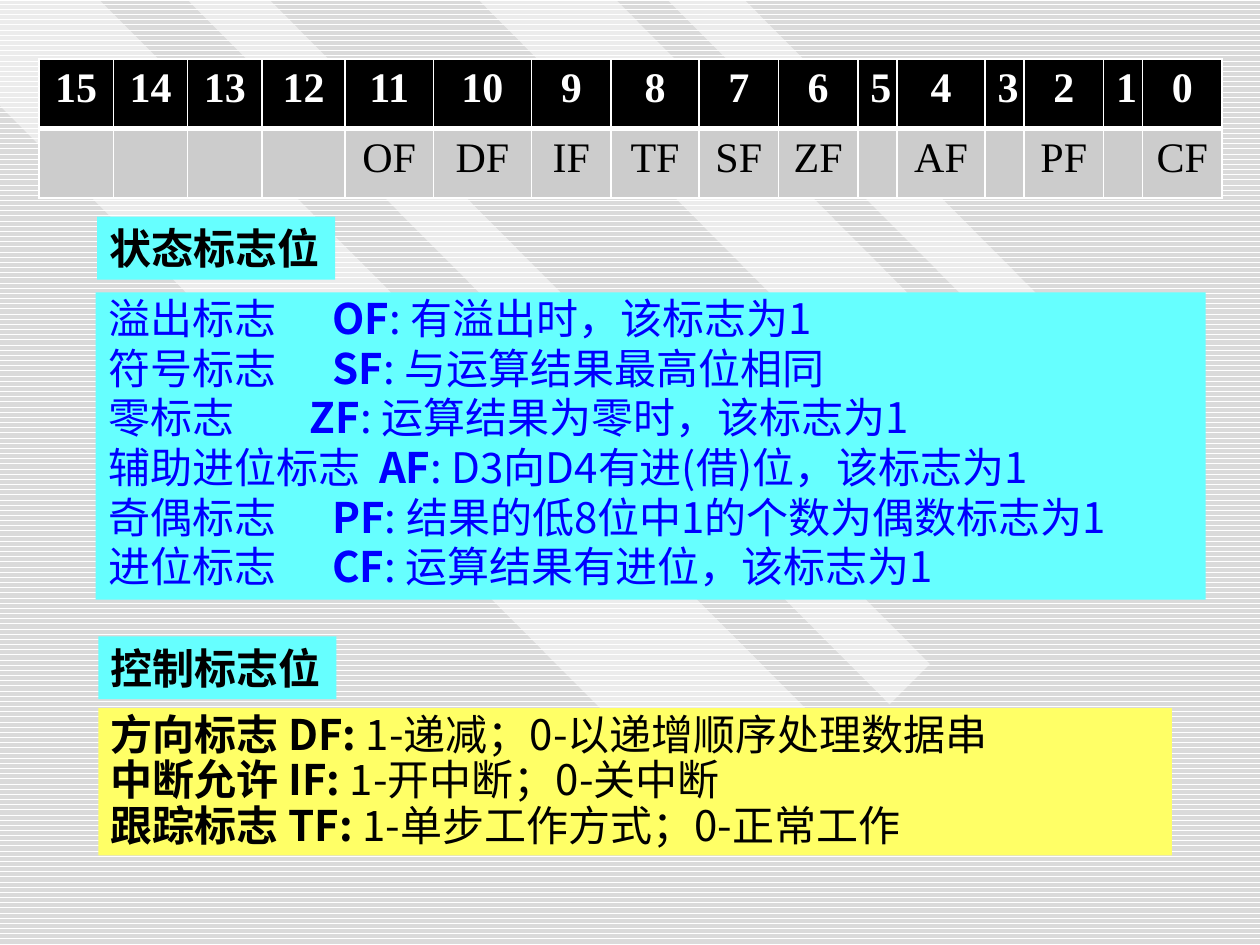
from dataclasses import dataclass

from lxml.etree import SubElement
from pptx import Presentation
from pptx.dml.color import RGBColor
from pptx.enum.dml import MSO_PATTERN
from pptx.enum.shapes import MSO_SHAPE
from pptx.enum.text import MSO_ANCHOR, PP_ALIGN
from pptx.oxml import parse_xml
from pptx.oxml.ns import nsdecls, qn
from pptx.util import Inches, Pt


@dataclass(frozen=True)
class Theme:
    white: str = "FFFFFF"
    black: str = "000000"
    stripe: str = "DADADA"
    cell: str = "CCCCCC"
    cyan: str = "66FFFF"
    yellow: str = "FFFF66"
    blue: str = "0000FF"
    body_font: str = "Noto Sans CJK SC"
    heading_font: str = "Arial"
    table_font: str = "Times New Roman"
    size: int = 24
    line_spacing: float = 0.9


class FlagSlide:
    def __init__(self, slide, theme):
        self.slide = slide
        self.theme = theme

    def background(self):
        fill = self.slide.background.fill
        fill.patterned()
        fill.pattern = MSO_PATTERN.DARK_HORIZONTAL
        fill.fore_color.rgb = RGBColor.from_string(self.theme.stripe)
        fill.back_color.rgb = RGBColor.from_string(self.theme.white)

    def fill(self, target, color):
        target.fill.solid()
        target.fill.fore_color.rgb = RGBColor.from_string(color)

    def style(self, run, font, color, bold):
        run.font.size = Pt(self.theme.size)
        run.font.bold = bold
        run.font.color.rgb = RGBColor.from_string(color)
        run.font.name = font
        east_asian = SubElement(run.font._element, qn("a:ea"))
        east_asian.set("typeface", self.theme.body_font)

    def beam(self, points):
        start, *rest = [(Inches(x), Inches(y)) for x, y in points]
        builder = self.slide.shapes.build_freeform(*start)
        builder.add_line_segments(rest, close=True)
        beam = builder.convert_to_shape()
        beam.shadow.inherit = False
        self.fill(beam, self.theme.white)
        beam.line.fill.background()
        color = beam._element.spPr.find(".//" + qn("a:srgbClr"))
        SubElement(color, qn("a:alpha")).set("val", "50000")

    def border(self, cell, bottom):
        widths = {"lnL": 1, "lnR": 1, "lnT": 1, "lnB": bottom}
        for position, (side, points) in enumerate(widths.items()):
            edge = parse_xml(
                f'<a:{side} {nsdecls("a")} w="{Pt(points)}"><a:solidFill>'
                f'<a:srgbClr val="{self.theme.white}"/></a:solidFill></a:{side}>'
            )
            cell._tc.get_or_add_tcPr().insert(position, edge)

    def register(self, left, top, widths, row_height, flags):
        theme = self.theme
        bits = [str(bit) for bit in reversed(range(len(widths)))]
        rows = [
            (bits, theme.black, theme.white, True, 3),
            ([flags.get(bit, "") for bit in bits], theme.cell, theme.black, False, 1),
        ]
        table = self.slide.shapes.add_table(
            len(rows), len(bits), Inches(left), Inches(top),
            Inches(sum(widths)), Inches(row_height * len(rows)),
        ).table
        for column, width in zip(table.columns, widths):
            column.width = Inches(width)
        for row, (labels, back, color, bold, bottom) in enumerate(rows):
            for column, label in enumerate(labels):
                cell = table.cell(row, column)
                self.fill(cell, back)
                self.border(cell, bottom)
                paragraph = cell.text_frame.paragraphs[0]
                paragraph.text = label
                paragraph.alignment = PP_ALIGN.CENTER
                for run in paragraph.runs:
                    self.style(run, theme.table_font, color, bold)

    def panel(self, left, top, width, height, color, anchor=MSO_ANCHOR.TOP):
        panel = self.slide.shapes.add_shape(
            MSO_SHAPE.RECTANGLE, Inches(left), Inches(top), Inches(width), Inches(height)
        )
        panel.shadow.inherit = False
        self.fill(panel, color)
        panel.line.fill.background()
        panel.text_frame.vertical_anchor = anchor
        return panel.text_frame

    def heading(self, left, top, title):
        frame = self.panel(left, top, 1.89, 0.5, self.theme.cyan, MSO_ANCHOR.MIDDLE)
        frame.word_wrap = False
        frame.text = title
        paragraph = frame.paragraphs[0]
        paragraph.alignment = PP_ALIGN.LEFT
        self.style(paragraph.runs[0], self.theme.heading_font, self.theme.black, True)

    def definitions(self, box, back, color, lines, space_before=0):
        frame = self.panel(*box, back)
        frame.word_wrap = True
        for index, (parts, tab) in enumerate(lines):
            paragraph = frame.add_paragraph() if index else frame.paragraphs[0]
            paragraph.alignment = PP_ALIGN.LEFT
            paragraph.line_spacing = self.theme.line_spacing
            paragraph.space_before = Pt(space_before)
            if tab:
                stops = SubElement(paragraph._p.get_or_add_pPr(), qn("a:tabLst"))
                stop = SubElement(stops, qn("a:tab"))
                stop.set("pos", str(Inches(tab)))
                stop.set("algn", "l")
            for text, bold in parts:
                run = paragraph.add_run()
                run.text = text
                self.style(run, self.theme.body_font, color, bold)


BEAMS = [
    [(6.7, 5.93), (0.79, 0), (0, 0), (0, 0.84), (5.89, 6.75)],
    [(2.14, 0), (7.38, 5.27), (7.06, 5.59), (1.49, 0)],
    [(4.89, 0), (8.76, 3.89), (8.21, 4.44), (3.8, 0)],
    [(5.3, 0), (8.97, 3.68), (9.27, 3.38), (5.91, 0)],
]
BIT_WIDTHS = [0.59, 0.59, 0.59, 0.66, 0.7, 0.78, 0.63, 0.7,
              0.63, 0.63, 0.31, 0.7, 0.31, 0.63, 0.31, 0.63]
FLAGS = {"11": "OF", "10": "DF", "9": "IF", "8": "TF", "7": "SF",
         "6": "ZF", "4": "AF", "2": "PF", "0": "CF"}
STATUS_FLAGS = [
    ("溢出标志", "OF", "有溢出时，该标志为1", 1.78),
    ("符号标志", "SF", "与运算结果最高位相同", 1.78),
    ("零标志", "ZF", "运算结果为零时，该标志为1", 1.6),
    ("辅助进位标志", "AF", "D3向D4有进(借)位，该标志为1", 2.15),
    ("奇偶标志", "PF", "结果的低8位中1的个数为偶数标志为1", 1.78),
    ("进位标志", "CF", "运算结果有进位，该标志为1", 1.78),
]
CONTROL_FLAGS = [
    ("方向标志 DF: ", "1-递减；0-以递增顺序处理数据串"),
    ("中断允许 IF: ", "1-开中断；0-关中断"),
    ("跟踪标志 TF: ", "1-单步工作方式；0-正常工作"),
]


def main():
    deck = Presentation()
    deck.slide_width, deck.slide_height = Inches(10), Inches(7.5)
    theme = Theme()
    page = FlagSlide(deck.slides.add_slide(deck.slide_layouts[6]), theme)
    page.background()
    for points in BEAMS:
        page.beam(points)
    page.register(0.31, 0.47, BIT_WIDTHS, 0.55, FLAGS)

    status = [([(name + "\t", False), (flag, True), (": " + meaning, False)], tab)
              for name, flag, meaning, tab in STATUS_FLAGS]
    page.definitions((0.76, 2.32, 8.81, 2.44), theme.cyan, theme.blue, status, 2.4)
    page.heading(0.77, 1.72, "状态标志位")

    control = [([(name, True), (meaning, False)], None) for name, meaning in CONTROL_FLAGS]
    page.definitions((0.78, 5.62, 8.52, 1.17), theme.yellow, theme.black, control)
    page.heading(0.78, 5.05, "控制标志位")
    deck.save("out.pptx")


if __name__ == "__main__":
    main()
